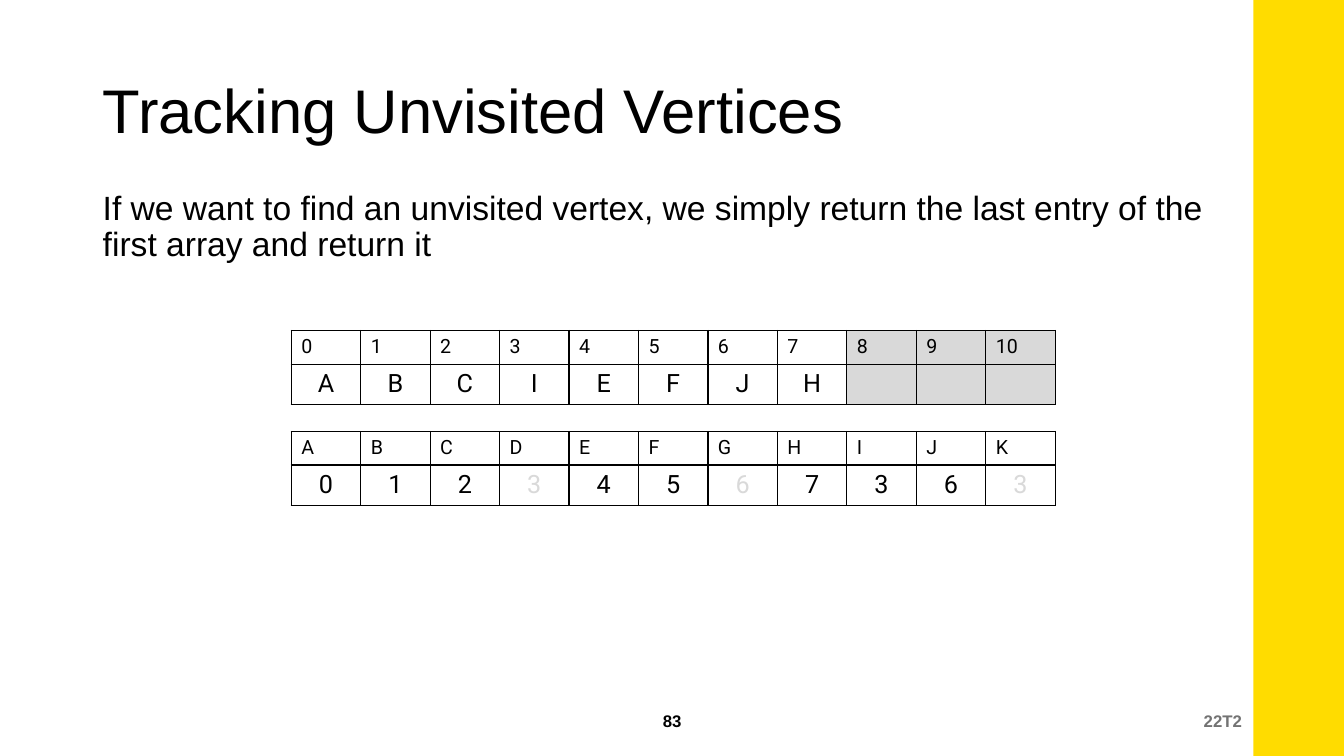
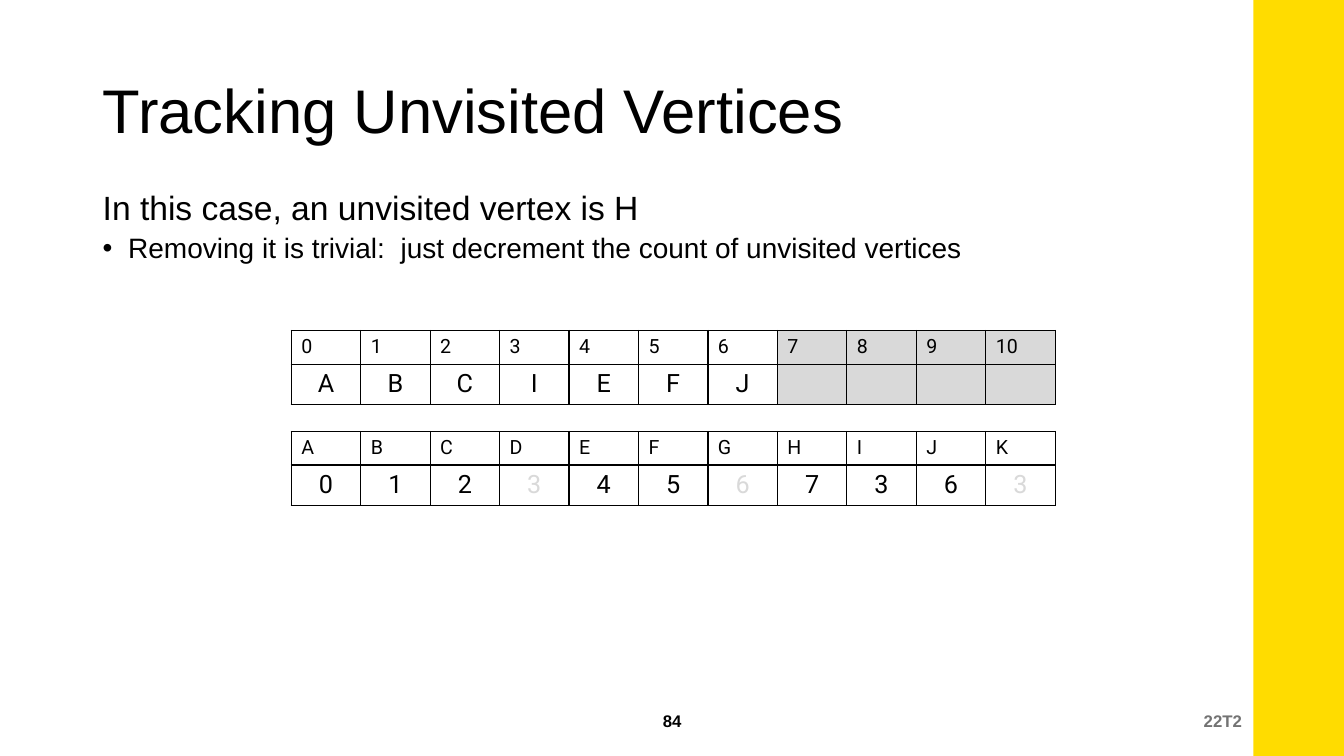
from lxml import etree
from pptx import Presentation
from pptx.dml.color import RGBColor
from pptx.enum.shapes import MSO_SHAPE
from pptx.enum.text import MSO_ANCHOR, PP_ALIGN
from pptx.oxml.ns import qn
from pptx.util import Cm, Pt

RECTANGLE = MSO_SHAPE.RECTANGLE
TOP, MIDDLE = MSO_ANCHOR.TOP, MSO_ANCHOR.MIDDLE
LEFT, CENTER, RIGHT = PP_ALIGN.LEFT, PP_ALIGN.CENTER, PP_ALIGN.RIGHT

COLOURS = {
    "ink": "000000",
    "band": "FFDC00",
    "muted": "D9D9D9",
    "term": "737373",
}
TEXT_FONT, CELL_FONT = "Arial", "Roboto"

# Regions as left, top, width, height in centimetres
SLIDE_WIDTH, SLIDE_HEIGHT = 33.87, 19.05
BAND_WIDTH = 2.28
TITLE_BOX = (2.34, 1.02, 29.21, 3.68)
BODY_BOX = (2.34, 4.7, 29.21, 12.09)
NUMBER_BOX = (13.13, 17.65, 7.62, 1.02)
TERM_BOX = (20.12, 17.65, 11.43, 1.02)

# Array tables
ARRAY_LEFT, ARRAY_TOP, ARRAY_STEP = 7.34, 8.33, 2.54
CELL_WIDTH, ROW_HEIGHTS = 1.75, (0.84, 1.02)

VERTICES = "ABCDEFGHIJK"
POSITIONS = (0, 1, 2, 3, 4, 5, 6, 7, 3, 6, 3)
REMOVED = "DGK"

TITLE = "Tracking Unvisited Vertices"
TERM = "22T2"
# Each slide: number, body lines as (text, is bullet), unvisited vertices
PAGES = [
    (83, [("If we want to find an unvisited vertex, we simply return the last "
           "entry of the first array and return it", False)], "ABCIEFJH"),
    (84, [("In this case, an unvisited vertex is H", False),
          ("Removing it is trivial:  just decrement the count of unvisited "
           "vertices", True)], "ABCIEFJ"),
]


def colour(name):
    return RGBColor.from_string(COLOURS[name])


def add_span(para, text, size, font=TEXT_FONT, ink="ink", bold=False):
    span = para.add_run()
    span.text = text
    span.font.name = font
    span.font.size = Pt(size)
    span.font.bold = bold
    span.font.color.rgb = colour(ink)


def add_box(page, region, anchor=MIDDLE):
    box = page.shapes.add_textbox(*map(Cm, region))
    frame = box.text_frame
    frame.word_wrap = True
    frame.vertical_anchor = anchor
    return frame


def add_bullet(para):
    properties = para._p.get_or_add_pPr()
    properties.set("marL", str(Cm(0.64)))
    properties.set("indent", str(-Cm(0.64)))
    etree.SubElement(properties, qn("a:buFont"), typeface=TEXT_FONT)
    etree.SubElement(properties, qn("a:buChar"), char="•")


def add_frame(page, number):
    # Side band
    band = page.shapes.add_shape(RECTANGLE, Cm(SLIDE_WIDTH - BAND_WIDTH), 0,
                                 Cm(BAND_WIDTH), Cm(SLIDE_HEIGHT))
    band.shadow.inherit = False
    band.fill.solid()
    band.fill.fore_color.rgb = colour("band")
    band.line.fill.background()

    # Title
    para = add_box(page, TITLE_BOX).paragraphs[0]
    para.line_spacing = 0.9
    add_span(para, TITLE, 44)

    # Footer
    for region, text, align, ink in ((TERM_BOX, TERM, RIGHT, "term"),
                                     (NUMBER_BOX, str(number), CENTER, "ink")):
        para = add_box(page, region).paragraphs[0]
        para.alignment = align
        add_span(para, text, 12, ink=ink, bold=True)


def add_body(page, region, lines):
    frame = add_box(page, region, TOP)
    for index, (text, is_bullet) in enumerate(lines):
        para = frame.add_paragraph() if index else frame.paragraphs[0]
        if is_bullet:
            add_bullet(para)
        para.line_spacing = 0.9
        if index:
            para.space_before = Pt(5 if is_bullet else 10)
        add_span(para, text, 20 if is_bullet else 24)


def add_borders(cell):
    properties = cell._tc.get_or_add_tcPr()
    for side in ("lnL", "lnR", "lnT", "lnB"):
        line = etree.SubElement(properties, qn(f"a:{side}"), w=str(Pt(1)))
        fill = etree.SubElement(line, qn("a:solidFill"))
        etree.SubElement(fill, qn("a:srgbClr"), val=COLOURS["ink"])


def fill_cell(cell, text, size, align, ink, shaded):
    add_borders(cell)
    if shaded:
        cell.fill.solid()
        cell.fill.fore_color.rgb = colour("muted")
    else:
        cell.fill.background()
    if text:
        para = cell.text_frame.paragraphs[0]
        para.alignment = align
        add_span(para, text, size, CELL_FONT, ink)


def add_array(page, left, top, labels, values, faded=(), shaded=()):
    """Draw an indexed array: small labels above centred values."""
    count = len(labels)
    table = page.shapes.add_table(2, count, Cm(left), Cm(top),
                                  Cm(CELL_WIDTH * count),
                                  Cm(sum(ROW_HEIGHTS))).table
    table.first_row = table.horz_banding = False
    for row, height in zip(table.rows, ROW_HEIGHTS):
        row.height = Cm(height)
    for index, (label, value) in enumerate(zip(labels, values)):
        table.columns[index].width = Cm(CELL_WIDTH)
        ink = "muted" if label in faded else "ink"
        is_shaded = index in shaded
        fill_cell(table.cell(0, index), label, 14, LEFT, "ink", is_shaded)
        fill_cell(table.cell(1, index), value, 18, CENTER, ink, is_shaded)


def add_page(deck, number, lines, unvisited):
    page = deck.slides.add_slide(deck.slide_layouts[6])
    add_frame(page, number)
    add_body(page, BODY_BOX, lines)

    # Unvisited vertices, with the unused tail shaded
    size = len(VERTICES)
    unused = range(len(unvisited), size)
    add_array(page, ARRAY_LEFT, ARRAY_TOP, [str(i) for i in range(size)],
              list(unvisited) + [""] * len(unused), shaded=unused)

    # Position of each vertex in the first array
    add_array(page, ARRAY_LEFT, ARRAY_TOP + ARRAY_STEP, VERTICES,
              [str(position) for position in POSITIONS], faded=REMOVED)


def main():
    deck = Presentation()
    deck.slide_width, deck.slide_height = Cm(SLIDE_WIDTH), Cm(SLIDE_HEIGHT)
    for number, lines, unvisited in PAGES:
        add_page(deck, number, lines, unvisited)
    deck.save("out.pptx")


if __name__ == "__main__":
    main()
